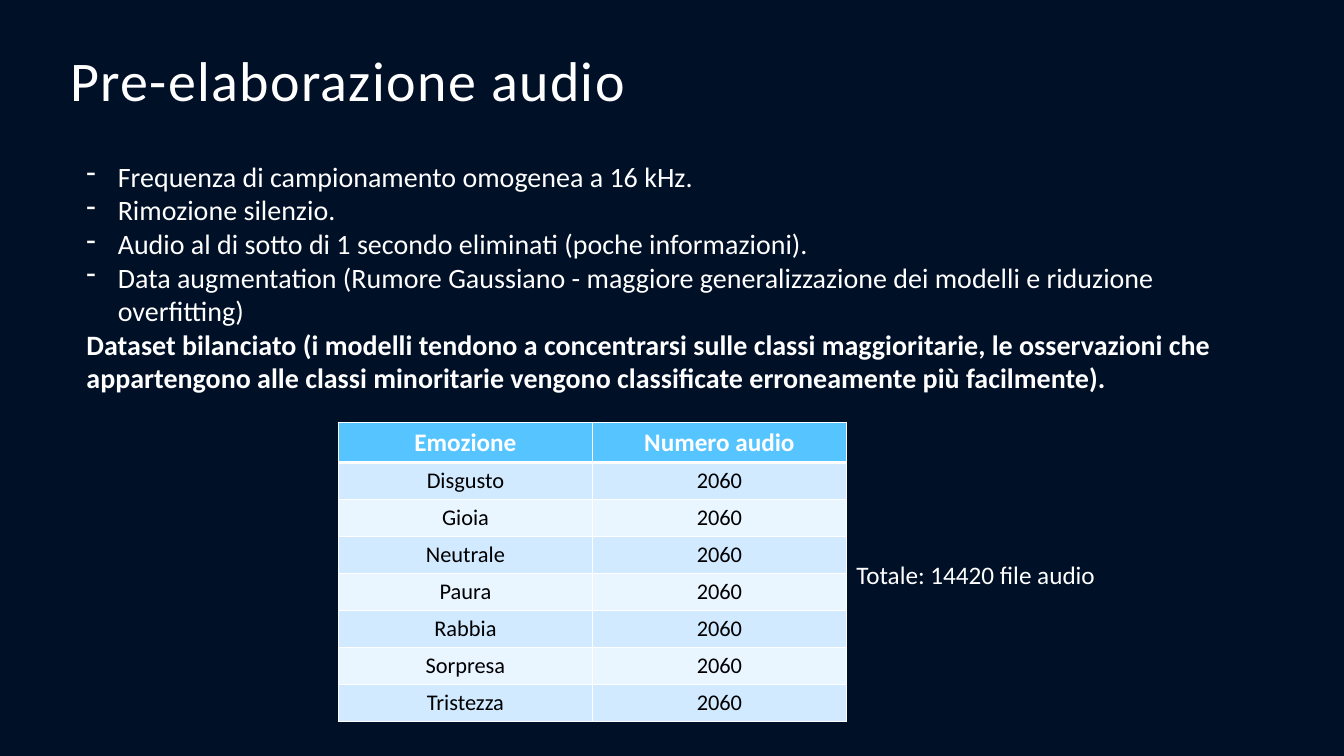
from dataclasses import dataclass

from lxml import etree
from pptx import Presentation
from pptx import util as u
from pptx.dml.color import RGBColor
from pptx.enum import text
from pptx.oxml import ns


@dataclass(frozen=True)
class Theme:
    font: str = "Calibri"
    background: str = "001027"
    light: str = "FFFFFF"
    dark: str = "000000"
    header: str = "56C5FF"
    bands: tuple = ("D1EAFF", "E9F5FF")
    title_size: int = 40
    body_size: int = 20
    label_size: int = 18
    cell_size: int = 16
    rule: int = 1
    header_rule: int = 3


THEME = Theme()

STEPS = [
    "Frequenza di campionamento omogenea a 16 kHz.",
    "Rimozione silenzio.",
    "Audio al di sotto di 1 secondo eliminati (poche informazioni).",
    "Data augmentation (Rumore Gaussiano - maggiore generalizzazione "
    "dei modelli e riduzione overfitting)",
]
BALANCE = (
    "Dataset bilanciato (i modelli tendono a concentrarsi sulle classi "
    "maggioritarie, le osservazioni che appartengono alle classi minoritarie "
    "vengono classificate erroneamente più facilmente)."
)
EMOTIONS = ["Disgusto", "Gioia", "Neutrale", "Paura", "Rabbia", "Sorpresa", "Tristezza"]
ROWS = [("Emozione", "Numero audio")] + [(emotion, "2060") for emotion in EMOTIONS]


def add_run(paragraph, words, size, color=THEME.light, bold=False):
    run = paragraph.add_run()
    run.text = words
    run.font.name = THEME.font
    run.font.size = u.Pt(size)
    run.font.bold = bold
    run.font.color.rgb = RGBColor.from_string(color)
    return run


def add_text_frame(slide, box):
    frame = slide.shapes.add_textbox(*map(u.Cm, box)).text_frame
    frame.word_wrap = True
    return frame


def add_dash(paragraph, indent):
    properties = paragraph._p.get_or_add_pPr()
    properties.set("marL", str(indent))
    properties.set("indent", str(-indent))
    etree.SubElement(properties, ns.qn("a:buChar")).set("char", "-")


def add_borders(cell, widths):
    properties = cell._tc.get_or_add_tcPr()
    for side, width in widths.items():
        line = etree.SubElement(properties, ns.qn(f"a:ln{side}"), w=str(u.Pt(width)))
        fill = etree.SubElement(line, ns.qn("a:solidFill"))
        etree.SubElement(fill, ns.qn("a:srgbClr"), val=THEME.light)


def add_title(slide, box):
    frame = add_text_frame(slide, box)
    frame.vertical_anchor = text.MSO_ANCHOR.MIDDLE
    paragraph = frame.paragraphs[0]
    paragraph.line_spacing = 0.9
    run = add_run(paragraph, "Pre-elaborazione audio", THEME.title_size)
    run._r.get_or_add_rPr().set("spc", "100")


def add_steps(slide, box):
    frame = add_text_frame(slide, box)
    for index, step in enumerate(STEPS):
        paragraph = frame.add_paragraph() if index else frame.paragraphs[0]
        add_dash(paragraph, u.Cm(0.79))
        add_run(paragraph, step, THEME.body_size)
    add_run(frame.add_paragraph(), BALANCE, THEME.body_size, bold=True)


def add_emotion_table(slide, box):
    table = slide.shapes.add_table(len(ROWS), len(ROWS[0]), *map(u.Cm, box)).table
    header_height = u.Cm(1.01)
    row_height = (u.Cm(box[3]) - header_height) // len(EMOTIONS)
    for row_index, values in enumerate(ROWS):
        is_header = row_index == 0
        table.rows[row_index].height = header_height if is_header else row_height
        fill = THEME.header if is_header else THEME.bands[(row_index - 1) % 2]
        size = THEME.label_size if is_header else THEME.cell_size
        color = THEME.light if is_header else THEME.dark
        widths = {
            "L": THEME.rule,
            "R": THEME.rule,
            "T": THEME.header_rule if row_index == 1 else THEME.rule,
            "B": THEME.header_rule if is_header else THEME.rule,
        }
        for column_index, value in enumerate(values):
            cell = table.cell(row_index, column_index)
            add_borders(cell, widths)
            cell.fill.solid()
            cell.fill.fore_color.rgb = RGBColor.from_string(fill)
            cell.vertical_anchor = text.MSO_ANCHOR.MIDDLE
            paragraph = cell.text_frame.paragraphs[0]
            paragraph.alignment = text.PP_ALIGN.CENTER
            add_run(paragraph, value, size, color, is_header)


def add_total(slide, box):
    frame = add_text_frame(slide, box)
    add_run(frame.paragraphs[0], "Totale: 14420 file audio", THEME.label_size)


def main():
    presentation = Presentation()
    presentation.slide_width = u.Cm(33.87)
    presentation.slide_height = u.Cm(19.05)
    slide = presentation.slides.add_slide(presentation.slide_layouts[6])
    slide.background.fill.solid()
    slide.background.fill.fore_color.rgb = RGBColor.from_string(THEME.background)
    add_title(slide, (1.52, 1.07, 28.1, 2.06))
    add_steps(slide, (1.93, 3.89, 29, 9.32))
    add_emotion_table(slide, (8.53, 10.64, 12.8, 7.54))
    add_total(slide, (21.33, 13.97, 6.6, 1.02))
    presentation.save("out.pptx")


if __name__ == "__main__":
    main()
